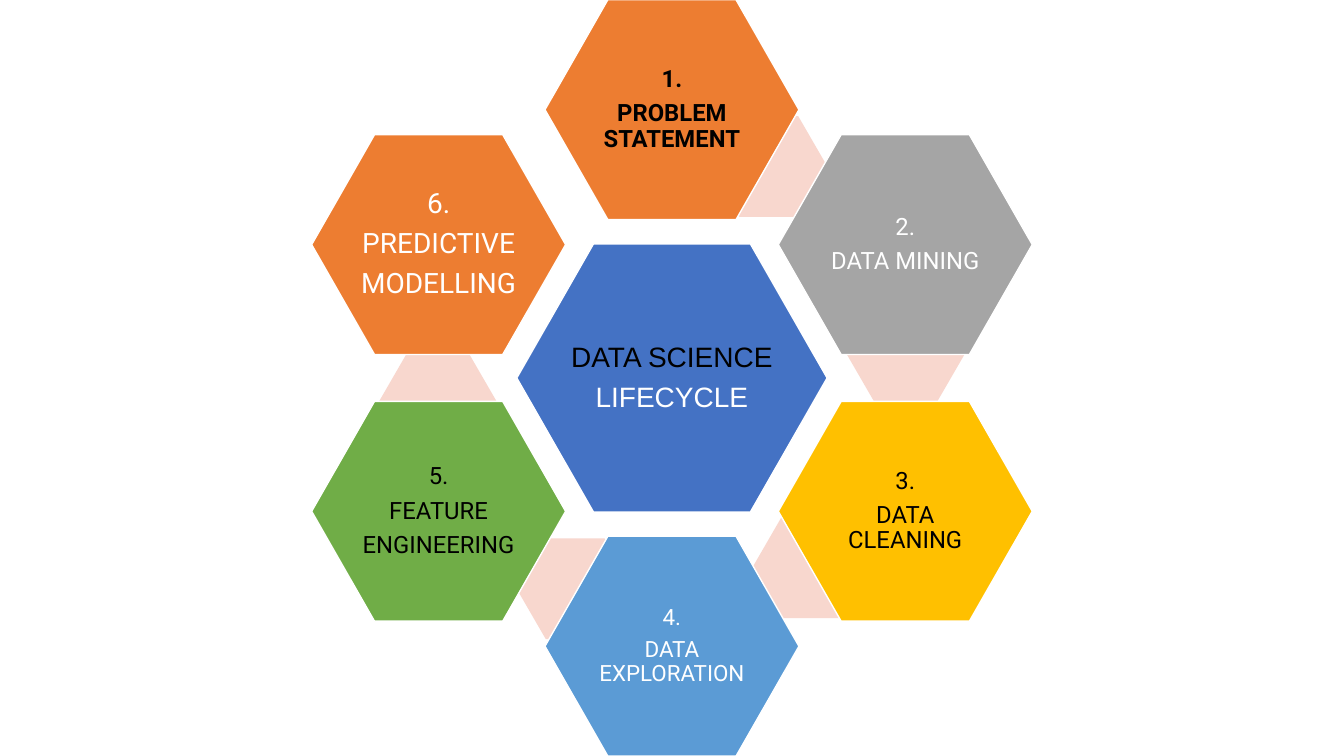
from pptx import Presentation
from pptx.dml.color import RGBColor
from pptx.enum import shapes, text
from pptx.util import Cm, Pt

SLIDE_WIDTH, SLIDE_HEIGHT = 33.87, 19.05
HUB_SIZE = (7.82, 6.76)
STEP_SIZE = (6.4, 5.54)
LINK_SIZE = (2.95, 2.54)
COLUMN, NEAR_ROW, FAR_ROW = 5.88, 3.36, 6.76
BLACK, WHITE, ORANGE, LINK_FILL = "000000", "FFFFFF", "ED7D31", "F8D7CE"

# Centre offset, fill, text colour, text size, bold, lines
STEPS = [
    ((0, -FAR_ROW), ORANGE, BLACK, 17, True, ["1.", "PROBLEM STATEMENT"]),
    ((COLUMN, -NEAR_ROW), "A5A5A5", WHITE, 17, False, ["2.", "DATA MINING"]),
    ((COLUMN, NEAR_ROW), "FFC000", BLACK, 17, False, ["3.", "DATA CLEANING"]),
    ((0, FAR_ROW), "5B9BD5", WHITE, 16, False, ["4.", "DATA EXPLORATION"]),
    ((-COLUMN, NEAR_ROW), "70AD47", BLACK, 17, False, ["5.", "FEATURE", "ENGINEERING"]),
    ((-COLUMN, -NEAR_ROW), ORANGE, WHITE, 20, False, ["6.", "PREDICTIVE", "MODELLING"]),
]
# Centre offsets of the links that leave steps 1 to 5
LINKS = [(2.44, -5.33), (5.89, -0.58), (3.5, 4.78), (-2.44, 5.31), (-5.9, 0.58)]


def color(value):
    return RGBColor.from_string(value)


def add_hexagon(slide, center, size, fill, adjustment=0.286, outlined=True):
    (x, y), (width, height) = center, size
    shape = slide.shapes.add_shape(
        shapes.MSO_SHAPE.HEXAGON,
        Cm(x - width / 2), Cm(y - height / 2), Cm(width), Cm(height))
    shape.adjustments[0] = adjustment
    shape.shadow.inherit = False
    shape.fill.solid()
    shape.fill.fore_color.rgb = color(fill)
    if outlined:
        shape.line.color.rgb = color(WHITE)
        shape.line.width = Pt(1)
    else:
        shape.line.fill.background()
    return shape


def write_lines(shape, lines, font_name, size, bold=False):
    """Centre the (wording, colour) lines in the shape."""
    frame = shape.text_frame
    frame.word_wrap = True
    frame.vertical_anchor = text.MSO_ANCHOR.MIDDLE
    frame.margin_left = frame.margin_right = 0
    frame.margin_top = frame.margin_bottom = 0
    for index, (wording, text_color) in enumerate(lines):
        paragraph = frame.add_paragraph() if index else frame.paragraphs[0]
        paragraph.text = wording
        paragraph.alignment = text.PP_ALIGN.CENTER
        paragraph.line_spacing = 0.9
        paragraph.space_after = Pt(0.35 * size)
        paragraph.font.name = font_name
        paragraph.font.size = Pt(size)
        paragraph.font.bold = bold
        paragraph.font.color.rgb = color(text_color)


def add_lifecycle(slide, left, top, width, height):
    center_x, center_y = left + width / 2, top + height / 2

    def place(offset):
        return center_x + offset[0], center_y + offset[1]

    # Hub
    hub = add_hexagon(slide, place((0, 0)), HUB_SIZE, "4472C4")
    write_lines(hub, [("DATA SCIENCE", BLACK), ("LIFECYCLE", WHITE)], "Arial", 20)

    # Steps, each above the link that leaves it
    for index, (offset, fill, text_color, size, bold, lines) in enumerate(STEPS):
        if index < len(LINKS):
            add_hexagon(slide, place(LINKS[index]), LINK_SIZE, LINK_FILL, 0.289, False)
        step = add_hexagon(slide, place(offset), STEP_SIZE, fill)
        write_lines(step, [(line, text_color) for line in lines], "Roboto", size, bold)


def main():
    presentation = Presentation()
    presentation.slide_width = Cm(SLIDE_WIDTH)
    presentation.slide_height = Cm(SLIDE_HEIGHT)
    slide = presentation.slides.add_slide(presentation.slide_layouts[6])
    add_lifecycle(slide, 0, 0, SLIDE_WIDTH, SLIDE_HEIGHT)
    presentation.save("out.pptx")


if __name__ == "__main__":
    main()
